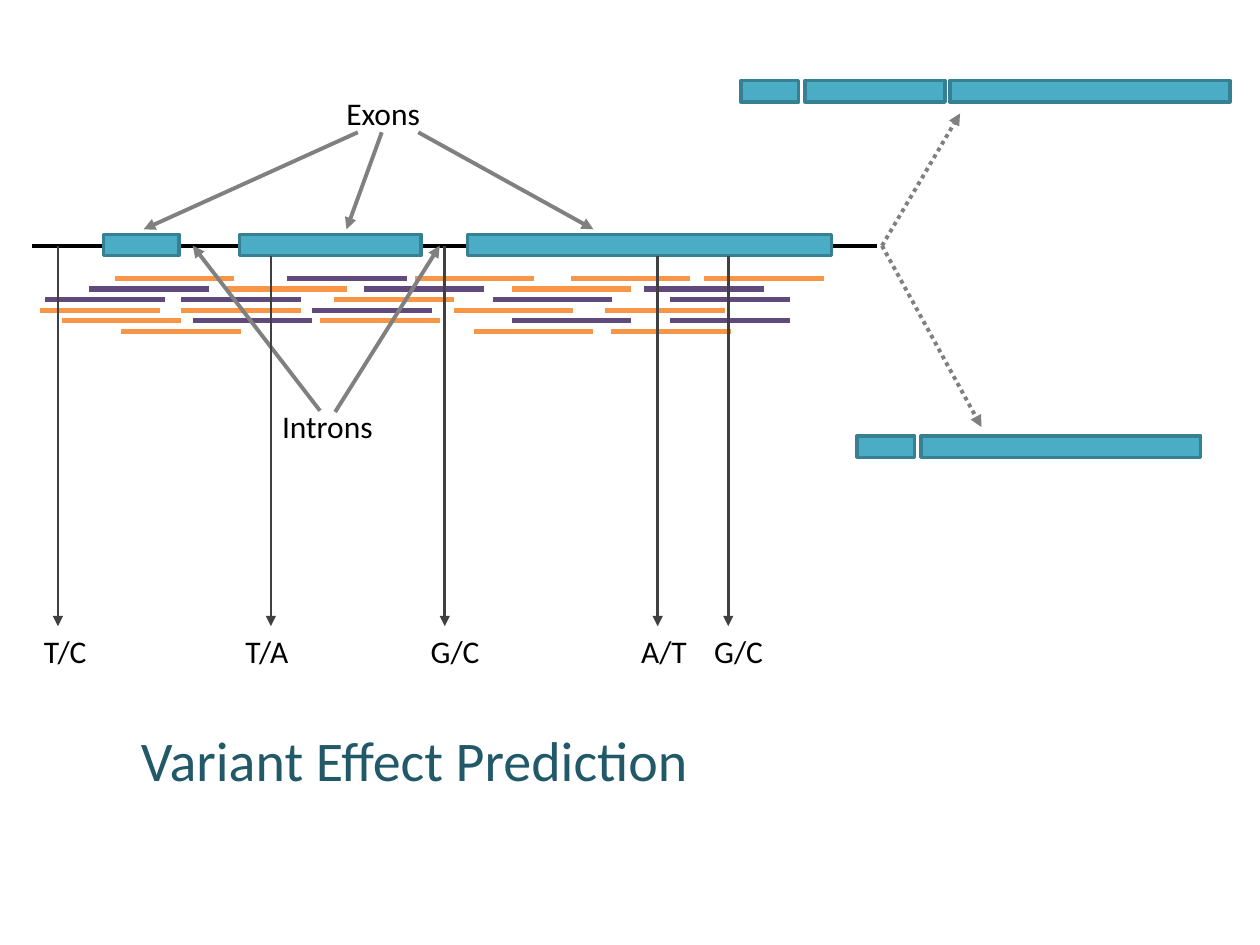
from dataclasses import dataclass
from typing import Optional

from lxml.etree import SubElement
from pptx import Presentation
from pptx.dml.color import RGBColor
from pptx.enum.dml import MSO_LINE_DASH_STYLE as Dash
from pptx.enum.shapes import MSO_CONNECTOR as Connector, MSO_SHAPE as Shape
from pptx.enum.text import MSO_ANCHOR as Anchor, MSO_AUTO_SIZE as AutoSize, PP_ALIGN as Align
from pptx.oxml.ns import qn
from pptx.util import Inches, Pt


@dataclass(frozen=True)
class Theme:
    font: str = "Calibri"
    title_size: float = 32
    label_size: float = 18
    title: str = "215968"
    text: str = "000000"
    exon: str = "4BACC6"
    exon_edge: str = "377F92"
    pointer: str = "808080"
    variant: str = "404040"
    forward_read: str = "F79646"
    reverse_read: str = "604A7B"


THEME = Theme()


@dataclass(frozen=True)
class LineStyle:
    color: str
    width: float
    arrow: bool = False
    dash: Optional[Dash] = None


@dataclass(frozen=True)
class Transcript:
    top: float
    exons: tuple[tuple[float, float], ...]  # left, width


@dataclass(frozen=True)
class ReadRow:
    forward: tuple[float, ...]  # left ends
    reverse: tuple[float, ...] = ()


@dataclass(frozen=True)
class Pointer:
    start: tuple[float, float]
    end: tuple[float, float]


@dataclass(frozen=True)
class Label:
    text: str
    left: float
    top: float
    width: float


@dataclass(frozen=True)
class Variant:
    change: str
    x: float
    top: float
    label_left: float


GENE_Y, EXON_BOTTOM, EXON_HEIGHT = 1.95, 2.03, 0.17
READ_TOP, READ_PITCH, READ_LENGTH = 2.21, 0.084, 0.95
VARIANT_BOTTOM = 4.97

GENE_LINE = LineStyle(THEME.text, 2.25)
POINTER_LINE = LineStyle(THEME.pointer, 2.25, arrow=True)
SPLICE_LINE = LineStyle(THEME.pointer, 2.25, arrow=True, dash=Dash.ROUND_DOT)
VARIANT_LINE = LineStyle(THEME.variant, 1.5, arrow=True)
FORWARD_LINE = LineStyle(THEME.forward_read, 3)
REVERSE_LINE = LineStyle(THEME.reverse_read, 3)

TRANSCRIPTS = (
    Transcript(1.86, ((0.82, 0.6), (1.9, 1.44), (3.71, 2.89))),
    Transcript(0.64, ((5.88, 0.46), (6.39, 1.11), (7.54, 2.22))),
    Transcript(3.46, ((6.8, 0.46), (7.31, 2.22))),
)
READ_ROWS = (
    ReadRow((0.91, 3.29, 4.53, 5.59), (2.28,)),
    ReadRow((1.8, 4.06), (0.71, 2.89, 5.11)),
    ReadRow((2.65,), (0.36, 1.44, 3.91, 5.32)),
    ReadRow((0.32, 1.44, 3.6, 4.8), (2.48,)),
    ReadRow((0.49, 2.54), (1.53, 4.06, 5.32)),
    ReadRow((0.96, 3.76, 4.85)),
)
SPLICES = (
    Pointer((7, GENE_Y), (7.79, 3.39)),
    Pointer((7, GENE_Y), (7.62, 0.9)),
)
POINTERS = (
    Pointer((2.84, 1.05), (1.14, 1.82)),
    Pointer((3.03, 1.05), (2.75, 1.82)),
    Pointer((3.32, 1.05), (4.71, 1.82)),
    Pointer((2.54, 3.26), (1.53, GENE_Y)),
    Pointer((2.66, 3.27), (3.49, GENE_Y)),
)
LABELS = (Label("Exons", 2.65, 0.7, 1.08), Label("Introns", 2.14, 3.18, 1.08))
VARIANTS = (
    Variant("T/C", 0.46, GENE_Y, 0.25),
    Variant("T/A", 2.15, EXON_BOTTOM, 1.85),
    Variant("G/C", 3.53, GENE_Y, 3.32),
    Variant("A/T", 5.22, EXON_BOTTOM, 4.99),
    Variant("G/C", 5.78, EXON_BOTTOM, 5.57),
)


def rgb(color: str) -> RGBColor:
    return RGBColor.from_string(color)


def add_line(slide, start: tuple[float, float], end: tuple[float, float], style: LineStyle) -> None:
    connector = slide.shapes.add_connector(
        Connector.STRAIGHT, *(Inches(value) for value in (*start, *end)))
    connector.line.color.rgb = rgb(style.color)
    connector.line.width = Pt(style.width)
    if style.dash is not None:
        connector.line.dash_style = style.dash
    if style.arrow:
        SubElement(connector.line._get_or_add_ln(), qn("a:tailEnd"), type="triangle")
    SubElement(connector._element.spPr, qn("a:effectLst"))


def add_transcript(slide, transcript: Transcript) -> None:
    for left, width in transcript.exons:
        exon = slide.shapes.add_shape(
            Shape.RECTANGLE, Inches(left), Inches(transcript.top), Inches(width), Inches(EXON_HEIGHT))
        exon.shadow.inherit = False
        exon.fill.solid()
        exon.fill.fore_color.rgb = rgb(THEME.exon)
        exon.line.color.rgb = rgb(THEME.exon_edge)
        exon.line.width = Pt(2)


def write_text(shape, text: str, size: float, color: str, align: Align) -> None:
    frame = shape.text_frame
    frame.word_wrap = True
    frame.vertical_anchor = Anchor.TOP
    frame.auto_size = AutoSize.SHAPE_TO_FIT_TEXT
    paragraph = frame.paragraphs[0]
    paragraph.alignment = align
    run = paragraph.add_run()
    run.text = text
    run.font.name = THEME.font
    run.font.size = Pt(size)
    run.font.color.rgb = rgb(color)


def add_label(slide, label: Label) -> None:
    box = slide.shapes.add_textbox(
        Inches(label.left), Inches(label.top), Inches(label.width), Inches(0.4))
    write_text(box, label.text, THEME.label_size, THEME.text, Align.LEFT)


def add_title(slide, text: str) -> None:
    title = slide.shapes.title
    title.left, title.top = Inches(0.19), Inches(5.71)
    title.width, title.height = Inches(6.2), Inches(0.64)
    write_text(title, text, THEME.title_size, THEME.title, Align.CENTER)


def main() -> None:
    presentation = Presentation()
    presentation.slide_width, presentation.slide_height = Inches(10), Inches(7.5)
    slide = presentation.slides.add_slide(presentation.slide_layouts[5])
    add_title(slide, "Variant Effect Prediction")

    # Gene and its two spliced transcripts
    add_line(slide, (0.25, GENE_Y), (6.96, GENE_Y), GENE_LINE)
    for transcript in TRANSCRIPTS:
        add_transcript(slide, transcript)
    for splice in SPLICES:
        add_line(slide, splice.start, splice.end, SPLICE_LINE)

    # Sequencing reads, in evenly spaced rows
    for index, row in enumerate(READ_ROWS):
        y = READ_TOP + index * READ_PITCH
        for lefts, style in ((row.forward, FORWARD_LINE), (row.reverse, REVERSE_LINE)):
            for left in lefts:
                add_line(slide, (left, y), (left + READ_LENGTH, y), style)

    # Exon and intron labels with their pointers
    for label in LABELS:
        add_label(slide, label)
    for pointer in POINTERS:
        add_line(slide, pointer.start, pointer.end, POINTER_LINE)

    # Variants called from the reads
    for variant in VARIANTS:
        add_line(slide, (variant.x, variant.top), (variant.x, VARIANT_BOTTOM), VARIANT_LINE)
        add_label(slide, Label(variant.change, variant.label_left, VARIANT_BOTTOM, 0.63))

    presentation.save("out.pptx")


if __name__ == "__main__":
    main()
